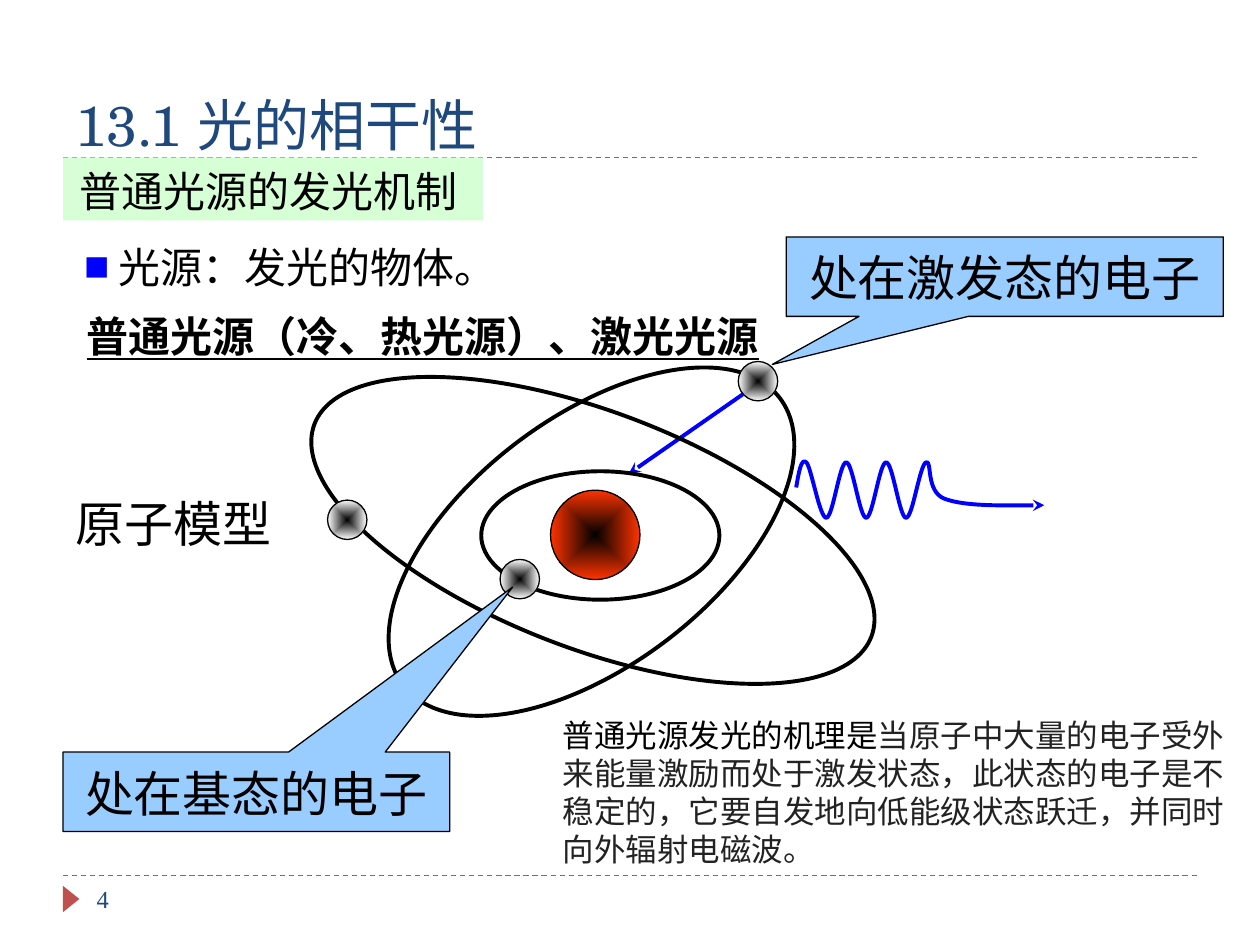
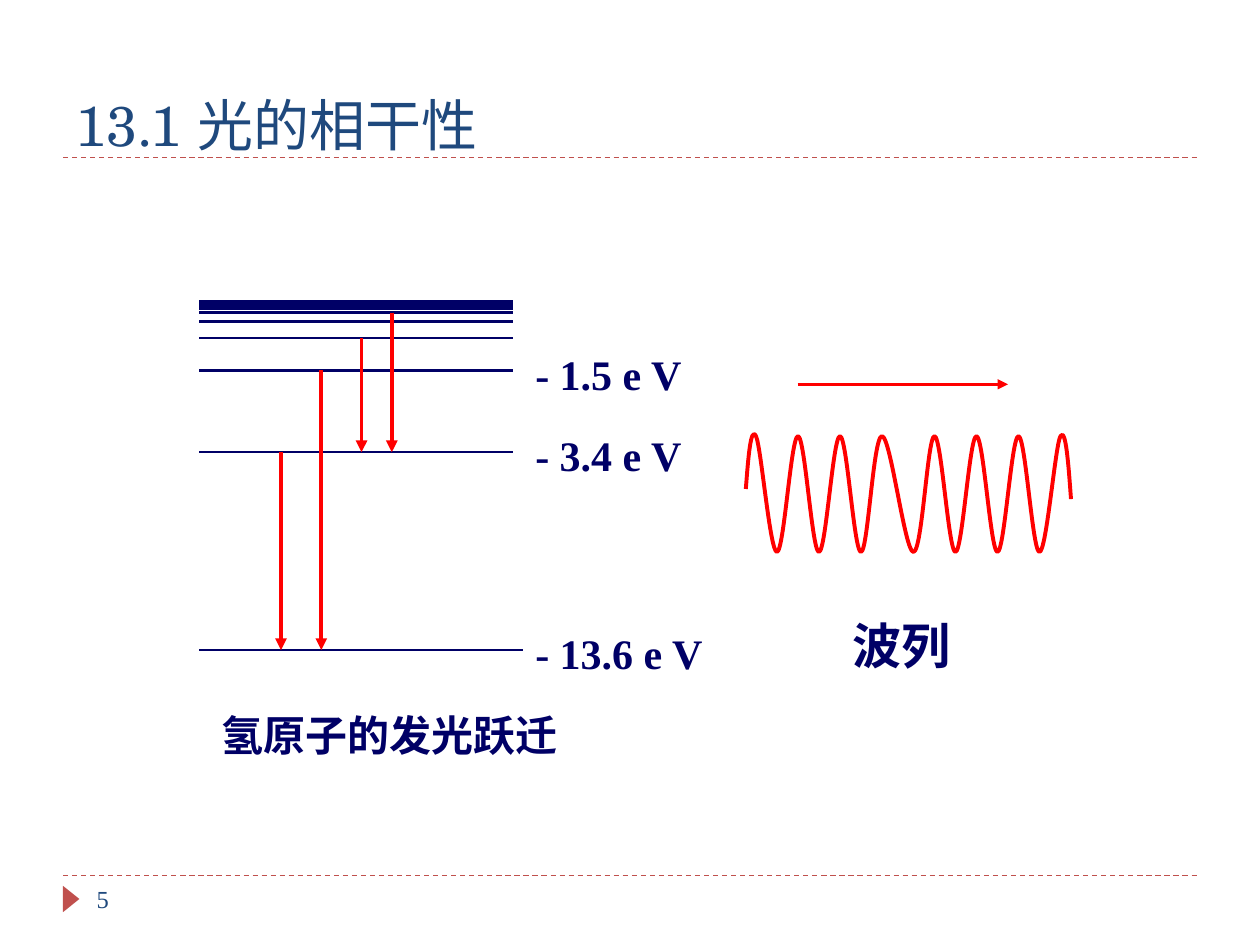
from lxml.etree import SubElement
from pptx import Presentation
from pptx.dml.color import RGBColor
from pptx.enum.dml import MSO_LINE
from pptx.enum.shapes import MSO_CONNECTOR, MSO_SHAPE
from pptx.enum.text import MSO_ANCHOR, PP_ALIGN
from pptx.oxml.ns import qn
from pptx.util import Pt

BLACK = RGBColor(0x00, 0x00, 0x00)
WHITE = RGBColor(0xFF, 0xFF, 0xFF)
GRAY = RGBColor(0x22, 0x22, 0x22)
RULE_RED = RGBColor(0xC0, 0x50, 0x4D)
TITLE_BLUE = RGBColor(0x1F, 0x49, 0x7D)
BAND_GREEN = RGBColor(0xCC, 0xFF, 0xCC)
CALLOUT_BLUE = RGBColor(0x99, 0xCC, 0xFF)
BLUE = RGBColor(0x00, 0x00, 0xFF)
NUCLEUS_RED = RGBColor(0xFF, 0x33, 0x00)
NAVY = RGBColor(0x00, 0x00, 0x66)
RED = RGBColor(0xFF, 0x00, 0x00)

SERIF, SANS, TITLE_FONT = "Times New Roman", "Arial", "TeX Gyre Schola"
CJK_FONT = "Noto Sans CJK SC"
LINE_HEIGHT = 1.3  # of the text size


# Shared helpers
def format_run(run, size, color, font=SERIF, bold=False, underline=False):
    run.font.size = Pt(size)
    run.font.name = font
    run.font.color.rgb = color
    run.font.bold = bold
    run.font.underline = underline
    SubElement(run.font._element, qn("a:ea")).set("typeface", CJK_FONT)


def add_text(slide, box, text, size, color, font=SERIF, **style):
    label = slide.shapes.add_textbox(*map(Pt, box))
    frame = label.text_frame
    frame.word_wrap = True
    frame.text = text
    paragraph = frame.paragraphs[0]
    paragraph.line_spacing = Pt(size * LINE_HEIGHT)
    format_run(paragraph.runs[0], size, color, font, **style)
    return frame


def add_arrowhead(line, kind):
    SubElement(line._get_or_add_ln(), qn("a:tailEnd")).set("type", kind)


def add_line(slide, start, end, color, width, arrow=None, dash=None):
    line = slide.shapes.add_connector(MSO_CONNECTOR.STRAIGHT, *map(Pt, (*start, *end)))
    line.line.color.rgb = color
    line.line.width = Pt(width)
    if dash:
        line.line.dash_style = dash
    if arrow:
        add_arrowhead(line.line, arrow)
    SubElement(line._element.spPr, qn("a:effectLst"))


def add_shape(slide, kind, box, fill=None, line=None, width=0.75, rotation=0):
    shape = slide.shapes.add_shape(kind, *map(Pt, box))
    shape.shadow.inherit = False
    shape.rotation = rotation
    if fill is None:
        shape.fill.background()
    else:
        shape.fill.solid()
        shape.fill.fore_color.rgb = fill
    if line is None:
        shape.line.fill.background()
    else:
        shape.line.color.rgb = line
        shape.line.width = Pt(width)
    return shape


def write_in_shape(shape, text, size):
    shape.text_frame.text = text
    paragraph = shape.text_frame.paragraphs[0]
    paragraph.alignment = PP_ALIGN.CENTER
    paragraph.line_spacing = Pt(size * LINE_HEIGHT)
    format_run(paragraph.runs[0], size, BLACK, SANS)


def add_ball(slide, left, top, size, edge_color):
    """Circle shaded from a black centre to its edge colour."""
    ball = add_shape(slide, MSO_SHAPE.OVAL, (left, top, size, size), WHITE, BLACK)
    ball.fill.gradient()
    for stop, color in zip(ball.fill.gradient_stops, (BLACK, edge_color)):
        stop.color.rgb = color
    gradient = ball._element.spPr.find(qn("a:gradFill"))
    gradient.remove(gradient.find(qn("a:lin")))
    shading = SubElement(gradient, qn("a:path"))
    shading.set("path", "shape")
    center = SubElement(shading, qn("a:fillToRect"))
    for side in "ltrb":
        center.set(side, "50000")


def smooth_points(knots):
    """Bezier control and end points of a smooth curve through the knots."""
    def shift(i):
        return [(after - before) / 6 for before, after in zip(knots[i - 1], knots[i + 1])]

    def middle(a, b):
        return [(p + q) / 2 for p, q in zip(a, b)]

    last = len(knots) - 1
    points = []
    for i in range(last):
        start, end = knots[i], knots[i + 1]
        leave = [p + d for p, d in zip(start, shift(i))] if i else None
        arrive = [p - d for p, d in zip(end, shift(i + 1))] if i + 1 < last else None
        leave = leave or middle(start, arrive)
        arrive = arrive or middle(leave, end)
        points += [leave, arrive, end]
    return points


def add_wave(slide, left, top, knots, color, arrow=None):
    placed = [(left + x, top + y) for x, y in knots]
    builder = slide.shapes.build_freeform(*map(Pt, placed[0]))
    builder.add_line_segments([tuple(map(Pt, p)) for p in smooth_points(placed)], close=False)
    wave = builder.convert_to_shape()
    wave.shadow.inherit = False
    wave.fill.background()
    wave.line.color.rgb = color
    wave.line.width = Pt(2.25)
    if arrow:
        add_arrowhead(wave.line, arrow)
    # Turn each three straight steps into one curve
    outline = next(wave._element.iter(qn("a:path")))
    steps = outline.findall(qn("a:lnTo"))
    for i in range(0, len(steps), 3):
        curve = SubElement(outline, qn("a:cubicBezTo"))
        for step in steps[i:i + 3]:
            curve.append(step[0])
            outline.remove(step)


def alternate(xs, crest, trough):
    return [(x, trough if i % 2 else crest) for i, x in enumerate(xs)]


def add_base(presentation, number):
    slide = presentation.slides.add_slide(presentation.slide_layouts[6])
    # Dashed rules and page marker
    for y in (500.4, 90):
        add_line(slide, (36, y), (684, y), RULE_RED, 0.75, dash=MSO_LINE.DASH)
    add_shape(slide, MSO_SHAPE.ISOSCELES_TRIANGLE, (33.1, 509, 15.1, 9.4),
              RULE_RED, rotation=90)
    # Title and page number
    title = add_text(slide, (36, 18, 648, 72), "13.1 光的相干性", 32, TITLE_BLUE, TITLE_FONT)
    title.vertical_anchor = MSO_ANCHOR.BOTTOM
    title.margin_bottom = 0
    add_text(slide, (48.2, 500.4, 156, 28.8), str(number), 14, TITLE_BLUE)
    return slide


# Parts of the light source slide
def add_band(slide, box, text):
    band = add_shape(slide, MSO_SHAPE.RECTANGLE, box, BAND_GREEN)
    color = next(band._element.spPr.iter(qn("a:srgbClr")))
    SubElement(color, qn("a:alpha")).set("val", "80000")
    band.text_frame.word_wrap = False
    band.text_frame.vertical_anchor = MSO_ANCHOR.MIDDLE
    write_in_shape(band, text, 24)


def add_definition(slide, box):
    definition = add_text(slide, box, " 光源：发光的物体。", 24, BLACK)
    properties = definition.paragraphs[0]._p.get_or_add_pPr()
    color = SubElement(properties, qn("a:buClr"))
    SubElement(color, qn("a:srgbClr")).set("val", str(BLUE))
    SubElement(properties, qn("a:buFont")).set("typeface", SANS)
    SubElement(properties, qn("a:buChar")).set("char", "■")


def add_atom(slide, left, top):
    # Jump of the excited electron
    add_line(slide, (left + 264.7, top + 47.6), (left + 191.3, top + 98.7),
             BLUE, 2.25, arrow="stealth")
    add_ball(slide, left + 146.6, top + 108.1, 51.1, NUCLEUS_RED)
    orbits = [(0.5, 63.4, 340.6, 135.4, 20.9),
              (99.1, 2.2, 141.8, 270.7, 52.7),
              (107, 97.3, 136.1, 73.4, 0)]
    for x, y, width, height, tilt in orbits:
        add_shape(slide, MSO_SHAPE.OVAL, (left + x, top + y, width, height),
                  line=BLACK, width=2.25, rotation=tilt)
    for x, y in [(253.9, 34.6), (19.2, 113.8), (117.8, 147.7)]:
        add_ball(slide, left + x, top + y, 22.5, WHITE)


def add_callout(slide, box, text, pointer):
    callout = add_shape(slide, MSO_SHAPE.RECTANGULAR_CALLOUT, box, CALLOUT_BLUE, BLACK)
    callout.adjustments[0], callout.adjustments[1] = pointer
    callout.text_frame.vertical_anchor = MSO_ANCHOR.TOP
    write_in_shape(callout, text, 28)


def add_mechanism(slide, box):
    lead = "普通光源发光的机理是"
    mechanism = add_text(slide, box, lead, 18, BLACK)
    paragraph = mechanism.paragraphs[0]
    paragraph.line_spacing = Pt(21.7)
    rest = [("当原子中大量的电子受外来能量激励而处于激发状态，此状态的电子是不稳定的，"
             "它要自发地向低能级状态跃迁，并同时向外辐射", SERIF),
            ("电磁波", CJK_FONT), ("。", SERIF)]
    for text, font in rest:
        run = paragraph.add_run()
        run.text = text
        format_run(run, 18, GRAY, font)


def build_light_source_slide(presentation):
    slide = add_base(presentation, 4)
    add_band(slide, (36, 90, 240, 36), "普通光源的发光机制 ")
    add_definition(slide, (41, 131.8, 312, 36))
    add_atom(slide, 168, 172)
    add_callout(slide, (36, 429.8, 221, 45.4), "处在基态的电子", (0.663, -2.577))
    add_callout(slide, (449.3, 135.4, 249.8, 45.4), "处在激发态的电子", (-0.532, 1.105))
    # Emitted light
    peaks = alternate([5.8 + 11.4 * i for i in range(7)], -14.4, 17.3)
    add_wave(slide, 455, 278.6, [(0, 0), *peaks, (85, 6.5), (141.8, 10.1)],
             BLUE, arrow="stealth")
    # Texts
    add_text(slide, (36, 275.8, 198.7, 41), "原子模型", 28, BLACK)
    add_mechanism(slide, (314.6, 405.4, 400.3, 94.3))
    add_text(slide, (42.5, 171.4, 408, 36), "普通光源（冷、热光源）、激光光源", 24, BLACK,
             bold=True, underline=True)


# Parts of the hydrogen slide
def add_energy_levels(slide, left, top):
    first, second, third, fourth, fifth, sixth = 197.3, 84.2, 37.5, 19, 9.4, 4.5
    add_line(slide, (left, top), (left + 179.3, top), NAVY, 6)
    for y in (sixth, fifth, fourth, third, second, first):
        length = 185 if y == first else 179.3
        add_line(slide, (left, top + y), (left + length, top + y), NAVY, 1.5)
    for y, energy in [(first, "- 13.6 e V"), (second, "- 3.4 e V"), (third, "- 1.5 e V")]:
        add_text(slide, (left + 185, top + y - 18.7, 116, 36), energy, 24, NAVY, bold=True)
    # Transitions
    for x, upper, lower in [(46.8, second, first), (69.8, third, first),
                            (92.8, fourth, second), (110.1, sixth, second)]:
        add_line(slide, (left + x, top + upper), (left + x, top + lower),
                 RED, 2.25, arrow="triangle")
    add_text(slide, (left + 5.7, top + 225.4, 231, 36), "氢原子的发光跃迁", 24, NAVY, bold=True)


def add_wave_train(slide, left, top):
    xs = [5.8 + 12 * i for i in range(7)] + [95.8 + 12 * i for i in range(8)]
    # The wider gap falls between a crest and a trough
    knots = [(0, 0), *alternate(xs, -30.2, 36), (185.8, 5.8)]
    add_wave(slide, left, top, knots, RED)
    add_line(slide, (left + 29.6, top - 59.8), (left + 149.8, top - 59.8),
             RED, 1.5, arrow="triangle")
    add_text(slide, (left + 54, top + 66.2, 102, 41), "波列", 28, NAVY, bold=True)


def build_hydrogen_slide(presentation):
    slide = add_base(presentation, 5)
    add_energy_levels(slide, 113.8, 174.2)
    add_wave_train(slide, 426.2, 279.4)


def main():
    presentation = Presentation()
    presentation.slide_width, presentation.slide_height = Pt(720), Pt(540)
    build_light_source_slide(presentation)
    build_hydrogen_slide(presentation)
    presentation.save("out.pptx")


if __name__ == "__main__":
    main()
